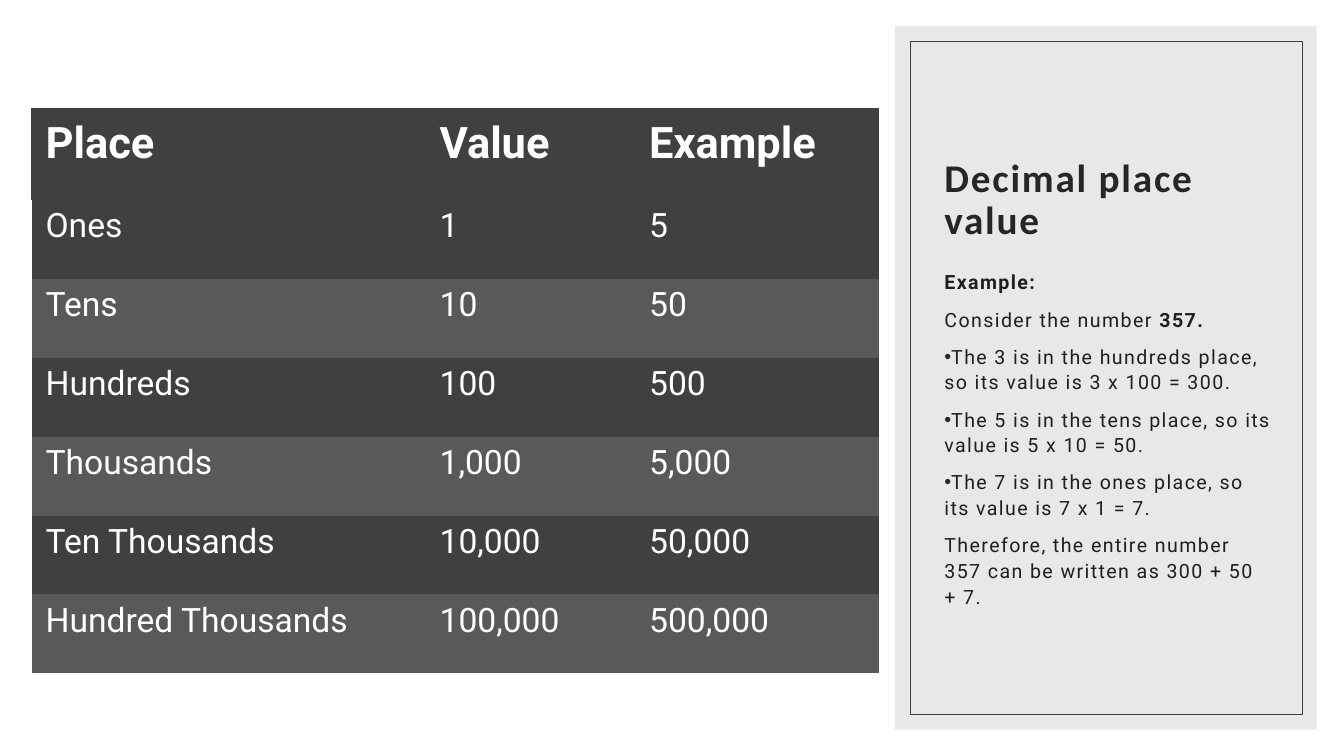
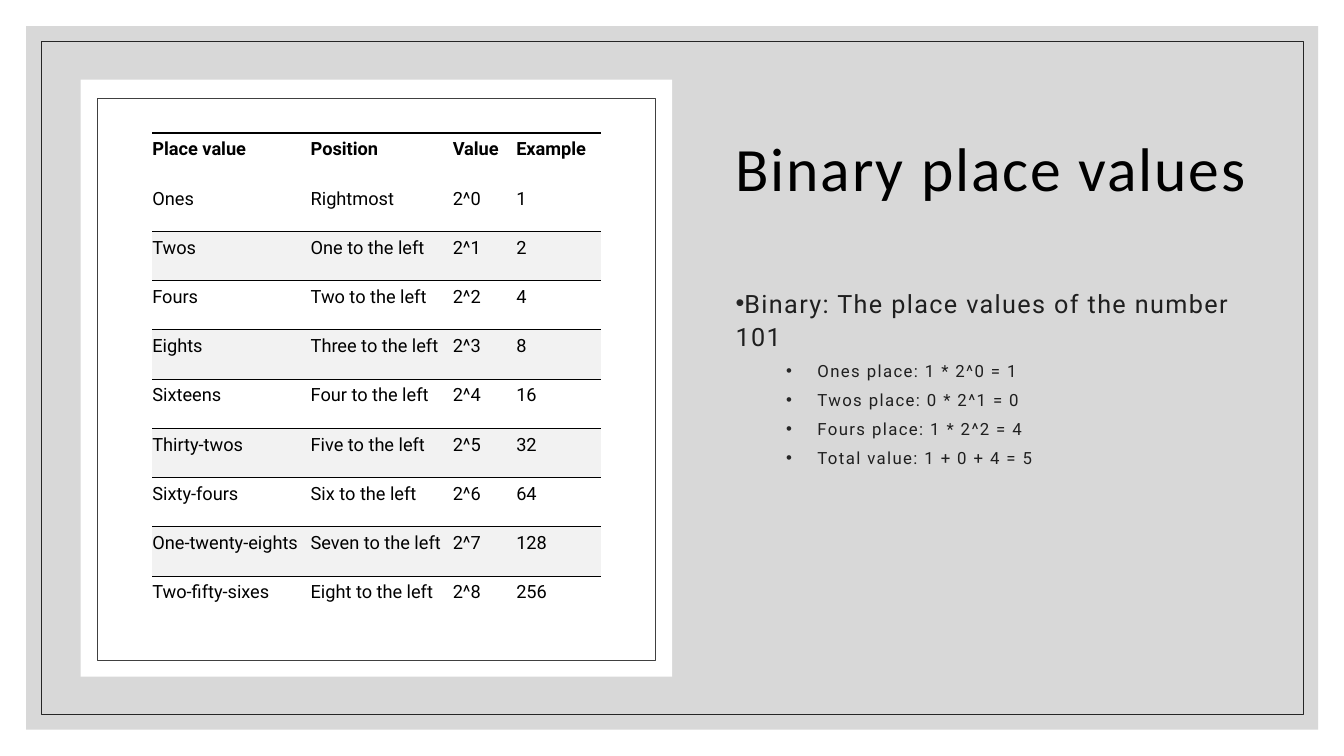
from lxml.etree import SubElement
from pptx import Presentation
from pptx.dml.color import RGBColor
from pptx.enum.shapes import MSO_SHAPE as Preset
from pptx.enum.text import MSO_ANCHOR as Anchor
from pptx.oxml import parse_xml
from pptx.oxml.ns import nsdecls, qn
from pptx.util import Cm, Pt

# Shared look
TITLE_FONT, BODY_FONT = "Calibri", "Roboto"
WHITE, BLACK = "FFFFFF", "000000"
DARK, MEDIUM, PALE = "404040", "595959", "F2F2F2"
INK, BODY_INK = "262626", "1F1F1F"
PLAIN_TABLE = "{2D5ABB26-0587-4C30-8999-92F81FD0307C}"

# Content: decimal slide
DECIMAL_TITLE = "Decimal place value"
DECIMAL_ROWS = [
    ("Place", "Value", "Example"),
    ("Ones", "1", "5"),
    ("Tens", "10", "50"),
    ("Hundreds", "100", "500"),
    ("Thousands", "1,000", "5,000"),
    ("Ten Thousands", "10,000", "50,000"),
    ("Hundred Thousands", "100,000", "500,000"),
]
# Each paragraph: kind, then runs of (text, bold)
DECIMAL_NOTES = [
    ("plain", [("Example:", True)]),
    ("plain", [("Consider the number ", False), ("357.", True)]),
    ("bullet", [("The 3 is in the hundreds place, so its value is 3 x 100 = 300.", False)]),
    ("bullet", [("The 5 is in the tens place, so its value is 5 x 10 = 50.", False)]),
    ("bullet", [("The 7 is in the ones place, so its value is 7 x 1 = 7.", False)]),
    ("plain", [("Therefore, the entire number 357 can be written as 300 + 50 + 7.", False)]),
]

# Content: binary slide
BINARY_TITLE = "Binary place values"
BINARY_HEADER = ("Place value", "Position", "Value", "Example")
BINARY_PLACES = [
    ("Ones", "Rightmost"),
    ("Twos", "One to the left"),
    ("Fours", "Two to the left"),
    ("Eights", "Three to the left"),
    ("Sixteens", "Four to the left"),
    ("Thirty-twos", "Five to the left"),
    ("Sixty-fours", "Six to the left"),
    ("One-twenty-eights", "Seven to the left"),
    ("Two-fifty-sixes", "Eight to the left"),
]
BINARY_ROWS = [BINARY_HEADER] + [
    (name, position, f"2^{power}", str(2 ** power))
    for power, (name, position) in enumerate(BINARY_PLACES)
]
BINARY_NOTES = [("bullet", [("Binary: The place values of the number 101", False)])] + [
    ("sub", [(text, False)])
    for text in (
        "Ones place: 1 * 2^0 = 1",
        "Twos place: 0 * 2^1 = 0",
        "Fours place: 1 * 2^2 = 4",
        "Total value: 1 + 0 + 4 = 5",
    )
]


def color(value):
    return RGBColor.from_string(value)


def lengths(values):
    return [Cm(value) for value in values]


def add_run(paragraph, text, *, size, font, ink, bold=False, spacing=0):
    run = paragraph.add_run()
    run.text = text
    run.font.size, run.font.name, run.font.bold = Pt(size), font, bold
    run.font.color.rgb = color(ink)
    if spacing:
        run._r.get_or_add_rPr().set("spc", str(round(spacing * 100)))


def add_rectangle(slide, box, *, fill=None, alpha=None, line=None):
    shape = slide.shapes.add_shape(Preset.RECTANGLE, *lengths(box))
    shape.shadow.inherit = False
    if fill:
        shape.fill.solid()
        shape.fill.fore_color.rgb = color(fill)
        if alpha:
            tint = shape.fill._xPr.find(".//" + qn("a:srgbClr"))
            SubElement(tint, qn("a:alpha"), val=str(alpha * 1000))
    else:
        shape.fill.background()
    if line:
        shape.line.color.rgb, shape.line.width = color(line), Pt(0.5)
    else:
        shape.line.fill.background()


def add_framed_panel(slide, panel, frame, *, fill, line, alpha=None):
    add_rectangle(slide, panel, fill=fill, alpha=alpha)
    add_rectangle(slide, frame, line=line)


def add_text_frame(slide, box, anchor):
    frame = slide.shapes.add_textbox(*lengths(box)).text_frame
    frame.word_wrap = True
    frame.vertical_anchor = anchor
    return frame


def add_title(slide, box, text, *, anchor, size, ink, bold=False):
    paragraph = add_text_frame(slide, box, anchor).paragraphs[0]
    paragraph.line_spacing = 0.9
    add_run(paragraph, text, size=size, font=TITLE_FONT, ink=ink, bold=bold, spacing=1.3)


def add_bullet(paragraph, left=0, indent=0):
    properties = paragraph._p.get_or_add_pPr()
    properties.set("marL", str(Cm(left)))
    properties.set("indent", str(Cm(indent)))
    bullet_color = SubElement(properties, qn("a:buClr"))
    SubElement(bullet_color, qn("a:srgbClr"), val=INK)
    SubElement(properties, qn("a:buFont"), typeface="Arial")
    SubElement(properties, qn("a:buChar"), char="•")


def add_notes(slide, box, notes, *, size, sub_size=12):
    frame = add_text_frame(slide, box, Anchor.TOP)
    for index, (kind, runs) in enumerate(notes):
        paragraph = frame.add_paragraph() if index else frame.paragraphs[0]
        is_sub = kind == "sub"
        paragraph.level = int(is_sub)
        paragraph.line_spacing = 1.1
        paragraph.space_before = Pt(5 if is_sub else 8)
        if is_sub:
            add_bullet(paragraph, 2.06, -0.79)
        elif kind == "bullet":
            add_bullet(paragraph)
        for text, bold in runs:
            add_run(paragraph, text, size=sub_size if is_sub else size,
                    font=BODY_FONT, ink=BODY_INK, bold=bold, spacing=1)


def set_border(cell, side, ink, width):
    cell._tc.get_or_add_tcPr().insert(0, parse_xml(
        f'<a:ln{side} {nsdecls("a")} w="{Pt(width)}"><a:solidFill>'
        f'<a:srgbClr val="{ink}"/></a:solidFill></a:ln{side}>'))


def add_table(slide, origin, rows, widths, heights, style_row):
    """style_row(index) gives the format of one row as a dict."""
    size = (sum(widths), sum(heights))
    shape = slide.shapes.add_table(len(rows), len(widths), *lengths(origin + size))
    table = shape.table
    table._tbl.tblPr.find(qn("a:tableStyleId")).text = PLAIN_TABLE
    for column, width in zip(table.columns, widths):
        column.width = Cm(width)
    for row_index, (texts, height) in enumerate(zip(rows, heights)):
        table.rows[row_index].height = Cm(height)
        style = style_row(row_index)
        for column_index, text in enumerate(texts):
            cell = table.cell(row_index, column_index)
            (cell.margin_left, cell.margin_top,
             cell.margin_right, cell.margin_bottom) = lengths(style["margins"])
            cell.vertical_anchor = style.get("anchor", Anchor.MIDDLE)
            if style["fill"]:
                cell.fill.solid()
                cell.fill.fore_color.rgb = color(style["fill"])
            else:
                cell.fill.background()
            border = style.get("border")
            if border and (border[0] != "L" or column_index == 0):
                set_border(cell, *border)
            add_run(cell.text_frame.paragraphs[0], text, size=style["size"],
                    font=BODY_FONT, ink=style["ink"], bold=row_index == 0)


def decimal_row(index):
    if index == 0:
        return dict(fill=DARK, ink=WHITE, size=31, anchor=Anchor.BOTTOM,
                    margins=(0.36, 0.1, 0.69, 0.76))
    return dict(fill=DARK if index % 2 else MEDIUM, ink=WHITE, size=24,
                margins=(0.36, 0.1, 1.12, 0.76), border=("L", WHITE, 1))


def binary_row(index):
    shaded = index > 0 and index % 2 == 0
    border = ("T", BLACK, 0.5 if index else 2.25) if shaded or index == 0 else None
    return dict(fill=PALE if shaded else None, ink=BLACK, size=13,
                margins=(0, 0.08, 0.15, 0.48), border=border)


def build_decimal_slide(slide):
    add_framed_panel(slide, (22.56, 0.66, 10.62, 17.73), (22.94, 1.04, 9.88, 16.97),
                     fill="D9D9D9", alpha=60, line=DARK)
    add_table(slide, (0.79, 2.72), DECIMAL_ROWS, (9.93, 5.28, 6.15),
              [2.31] + [1.99] * (len(DECIMAL_ROWS) - 1), decimal_row)
    add_title(slide, (23.55, 1.68, 8.74, 4.57), DECIMAL_TITLE,
              anchor=Anchor.BOTTOM, size=28, ink=INK, bold=True)
    add_notes(slide, (23.55, 6.63, 8.74, 9.75), DECIMAL_NOTES, size=14)


def build_binary_slide(slide):
    add_framed_panel(slide, (0.66, 0.66, 32.56, 17.73), (1.04, 1.04, 31.8, 16.97),
                     fill="BFBFBF", alpha=60, line=INK)
    add_title(slide, (18.29, 2.03, 13.77, 4.57), BINARY_TITLE,
              anchor=Anchor.MIDDLE, size=44, ink=BLACK)
    add_framed_panel(slide, (2.03, 2.01, 14.91, 15.04), (2.46, 2.49, 14.05, 14.15),
                     fill=WHITE, line=DARK)
    add_notes(slide, (18.29, 7.06, 13.77, 9.7), BINARY_NOTES, size=18)
    add_table(slide, (3.84, 3.35), BINARY_ROWS, (3.99, 3.58, 1.6, 2.13),
              [1.24] * len(BINARY_ROWS), binary_row)


def main():
    presentation = Presentation()
    presentation.slide_width, presentation.slide_height = Cm(33.87), Cm(19.05)
    for build in (build_decimal_slide, build_binary_slide):
        build(presentation.slides.add_slide(presentation.slide_layouts[6]))
    presentation.save("out.pptx")


if __name__ == "__main__":
    main()
